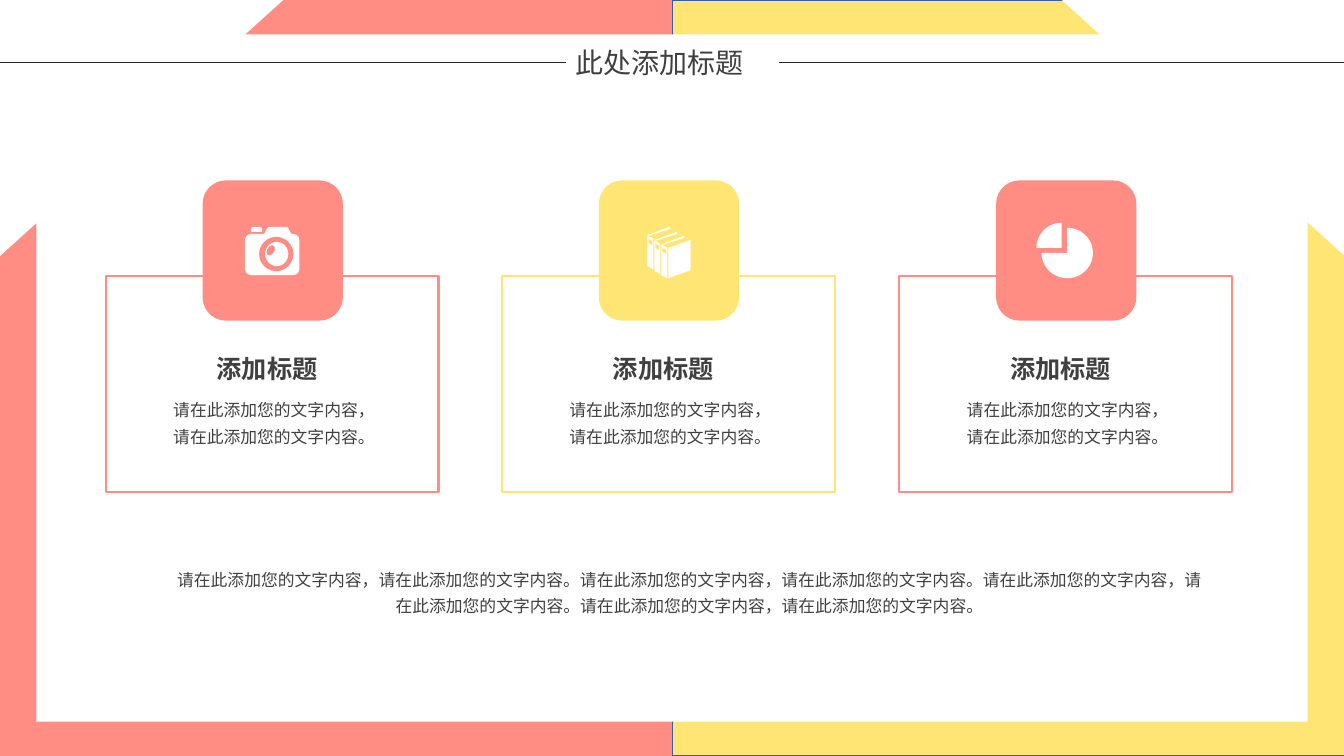
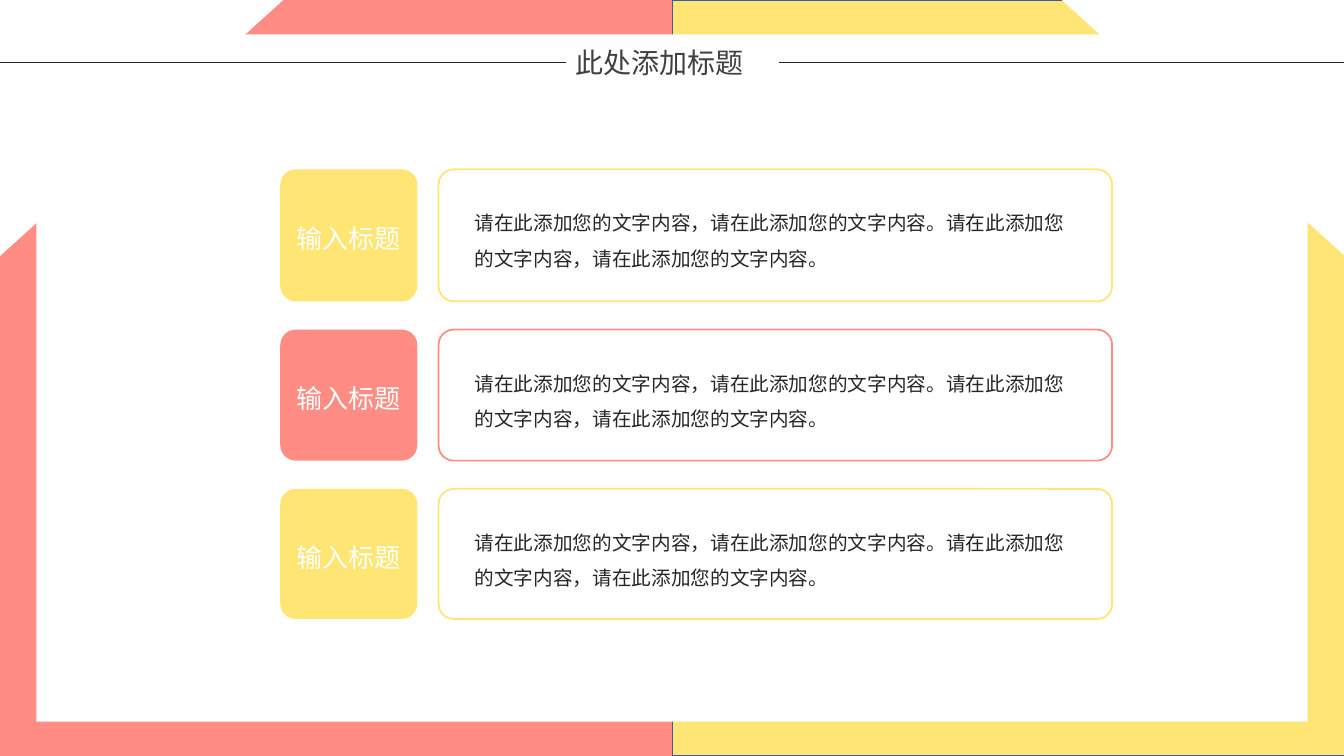
"""Build two slides with a shared two-colour frame: three icon cards and three labelled rows."""

from dataclasses import dataclass
from typing import NamedTuple

from lxml import etree
from pptx import Presentation
from pptx.dml.color import RGBColor
from pptx.enum.shapes import MSO_CONNECTOR, MSO_SHAPE
from pptx.enum.text import MSO_ANCHOR, PP_ALIGN
from pptx.oxml.ns import qn
from pptx.shapes.autoshape import Shape
from pptx.slide import Slide
from pptx.text.text import TextFrame
from pptx.util import Pt

PX = 9144
SLIDE_WIDTH, SLIDE_HEIGHT = 1333, 750
FONT = "Noto Sans CJK SC"

CORAL = RGBColor(0xFF, 0x8D, 0x83)
YELLOW = RGBColor(0xFF, 0xE6, 0x74)
WHITE = RGBColor(0xFF, 0xFF, 0xFF)
BLUE = RGBColor(0x35, 0x5C, 0xAD)
DARK = RGBColor(0x26, 0x26, 0x26)
GREY = RGBColor(0x40, 0x40, 0x40)

RECTANGLE = MSO_SHAPE.RECTANGLE
ROUNDED = MSO_SHAPE.ROUNDED_RECTANGLE
ROUND_TOP = MSO_SHAPE.ROUND_2_SAME_RECTANGLE
TRIANGLE = MSO_SHAPE.RIGHT_TRIANGLE
OVAL = MSO_SHAPE.OVAL
PIE = MSO_SHAPE.PIE
STRAIGHT = MSO_CONNECTOR.STRAIGHT
LEFT, CENTER, JUSTIFY = PP_ALIGN.LEFT, PP_ALIGN.CENTER, PP_ALIGN.JUSTIFY
MIDDLE = MSO_ANCHOR.MIDDLE

TITLE = "此处添加标题"
CARD_HEADING = "添加标题"
ROW_LABEL = "输入标题"
SENTENCE = "请在此添加您的文字内容，请在此添加您的文字内容。"


class Box(NamedTuple):
    left: int
    top: int
    width: int
    height: int


class Point(NamedTuple):
    x: int
    y: int


class Row(NamedTuple):
    top: int
    height: int
    color: RGBColor


@dataclass(frozen=True)
class TextStyle:
    size: float
    color: RGBColor
    align: PP_ALIGN = LEFT
    spacing: float = 1.0
    bold: bool = False


TITLE_STYLE = TextStyle(20, GREY, JUSTIFY)
HEADING_STYLE = TextStyle(18, GREY, bold=True)
CARD_STYLE = TextStyle(12, GREY, spacing=1.3)
SUMMARY_STYLE = TextStyle(12, GREY, CENTER, 1.3)
LABEL_STYLE = TextStyle(18.6, WHITE, CENTER, 1.2)
ROW_STYLE = TextStyle(14, DARK, spacing=1.5)

CARD_COLORS = (CORAL, YELLOW, CORAL)
ROWS = (Row(168, 131, YELLOW), Row(327, 130, CORAL), Row(485, 129, YELLOW))

BOOK_OFFSETS = (Point(0, 0), Point(7, 5), Point(14, 9))
BOOK_SPINE = (
    Point(664, 225), Point(643, 233), Point(642, 234), Point(642, 264),
    Point(648, 267), Point(648, 237), Point(643, 234), Point(665, 227),
)
BOOK_LABEL = (Point(643, 237), Point(647, 239), Point(647, 243), Point(643, 241))
BOOK_COVER = (Point(663, 246), Point(685, 238), Point(685, 268), Point(663, 276))
CAMERA_HUMP = (Point(266, 225), Point(285, 225), Point(289, 232), Point(262, 232))


def paint(
    shape: Shape,
    fill: RGBColor | None = None,
    line: RGBColor | None = None,
    line_width: float = 1,
) -> None:
    shape.shadow.inherit = False
    if fill is None:
        shape.fill.background()
    else:
        shape.fill.solid()
        shape.fill.fore_color.rgb = fill
    if line is None:
        shape.line.fill.background()
    else:
        shape.line.color.rgb = line
        shape.line.width = Pt(line_width)


def add_preset(
    slide: Slide,
    kind: MSO_SHAPE,
    box: Box,
    fill: RGBColor | None = None,
    line: RGBColor | None = None,
    line_width: float = 1,
    adjustments: tuple[float, ...] = (),
) -> Shape:
    shape = slide.shapes.add_shape(kind, *(length * PX for length in box))
    for index, value in enumerate(adjustments):
        shape.adjustments[index] = value
    paint(shape, fill, line, line_width)
    return shape


def add_polygon(
    slide: Slide, points: tuple[Point, ...], fill: RGBColor, offset: Point = Point(0, 0)
) -> None:
    moved = [(point.x + offset.x, point.y + offset.y) for point in points]
    builder = slide.shapes.build_freeform(*moved[0], scale=PX)
    builder.add_line_segments(moved[1:], close=True)
    paint(builder.convert_to_shape(), fill)


def write(text_frame: TextFrame, text: str, style: TextStyle) -> None:
    text_frame.word_wrap = True
    text_frame.text = text
    paragraph = text_frame.paragraphs[0]
    paragraph.alignment = style.align
    paragraph.line_spacing = style.spacing
    run = paragraph.runs[0]
    run.font.size = Pt(style.size)
    run.font.bold = style.bold
    run.font.color.rgb = style.color
    run.font.name = FONT
    properties = run.font._element
    etree.SubElement(properties, qn("a:ea")).set("typeface", FONT)


def add_text(slide: Slide, box: Box, text: str, style: TextStyle) -> None:
    text_box = slide.shapes.add_textbox(*(length * PX for length in box))
    write(text_box.text_frame, text, style)


def add_rule(slide: Slide, start: int, end: int, y: int) -> None:
    rule = slide.shapes.add_connector(STRAIGHT, start * PX, y * PX, end * PX, y * PX)
    rule.line.color.rgb = DARK
    rule.line.width = Pt(0.5)
    etree.SubElement(rule._element.spPr, qn("a:effectLst"))


def add_frame(slide: Slide) -> None:
    slide.background.fill.solid()
    slide.background.fill.fore_color.rgb = CORAL
    add_preset(slide, RECTANGLE, Box(667, 0, 667, SLIDE_HEIGHT), YELLOW, BLUE)
    add_preset(slide, RECTANGLE, Box(36, 34, 1261, 682), WHITE)
    left_corner = add_preset(slide, TRIANGLE, Box(0, 0, 281, 254), WHITE)
    left_corner._element.spPr.xfrm.set("flipV", "1")
    right_corner = add_preset(slide, TRIANGLE, Box(1053, 0, 281, 254), WHITE)
    right_corner.rotation = 180
    add_rule(slide, 0, 561, 62)
    add_text(slide, Box(561, 40, 212, 44), TITLE, TITLE_STYLE)
    add_rule(slide, 773, SLIDE_WIDTH, 62)


def draw_camera(slide: Slide) -> None:
    add_preset(slide, ROUND_TOP, Box(249, 225, 11, 5), WHITE, adjustments=(0.5,))
    add_polygon(slide, CAMERA_HUMP, WHITE)
    add_preset(slide, ROUNDED, Box(243, 232, 54, 41), WHITE, adjustments=(0.15,))
    add_preset(slide, OVAL, Box(257, 235, 34, 34), CORAL)
    add_preset(slide, OVAL, Box(263, 240, 23, 24), WHITE)
    glint = add_preset(slide, OVAL, Box(265, 243, 7, 11), CORAL)
    glint.rotation = 30


def draw_books(slide: Slide) -> None:
    for offset in BOOK_OFFSETS:
        add_polygon(slide, BOOK_SPINE, WHITE, offset)
        add_polygon(slide, BOOK_LABEL, YELLOW, offset)
    add_polygon(slide, BOOK_COVER, WHITE)


def draw_pie(slide: Slide) -> None:
    add_preset(slide, PIE, Box(1033, 226, 51, 50), WHITE, adjustments=(162, 108))
    add_preset(slide, PIE, Box(1028, 221, 50, 50), WHITE, adjustments=(108, 162))


def build_cards(slide: Slide) -> None:
    add_frame(slide)
    for index, color in enumerate(CARD_COLORS):
        left = 105 + index * 787 // 2
        add_preset(slide, RECTANGLE, Box(left, 274, 330, 214), line=color, line_width=1.5)
        add_preset(slide, ROUNDED, Box(left + 96, 179, 139, 139), color)
        add_text(slide, Box(left + 100, 346, 131, 40), CARD_HEADING, HEADING_STYLE)
        add_text(slide, Box(left + 57, 386, 217, 60), SENTENCE, CARD_STYLE)
    for draw_icon in (draw_camera, draw_books, draw_pie):
        draw_icon(slide)
    add_text(slide, Box(162, 554, 1044, 60), SENTENCE * 4, SUMMARY_STYLE)


def build_rows(slide: Slide) -> None:
    add_frame(slide)
    for row in ROWS:
        add_preset(
            slide, ROUNDED, Box(435, row.top, 668, row.height),
            line=row.color, line_width=1.25, adjustments=(0.115,),
        )
        label = add_preset(
            slide, ROUNDED, Box(278, row.top, 136, row.height), row.color, adjustments=(0.119,)
        )
        label.text_frame.vertical_anchor = MIDDLE
        write(label.text_frame, ROW_LABEL, LABEL_STYLE)
        add_text(slide, Box(461, row.top + 25, 615, 77), SENTENCE * 2, ROW_STYLE)


def main() -> None:
    presentation = Presentation()
    presentation.slide_width = SLIDE_WIDTH * PX
    presentation.slide_height = SLIDE_HEIGHT * PX
    blank_layout = presentation.slide_layouts[6]
    for build in (build_cards, build_rows):
        build(presentation.slides.add_slide(blank_layout))
    presentation.save("out.pptx")


if __name__ == "__main__":
    main()
